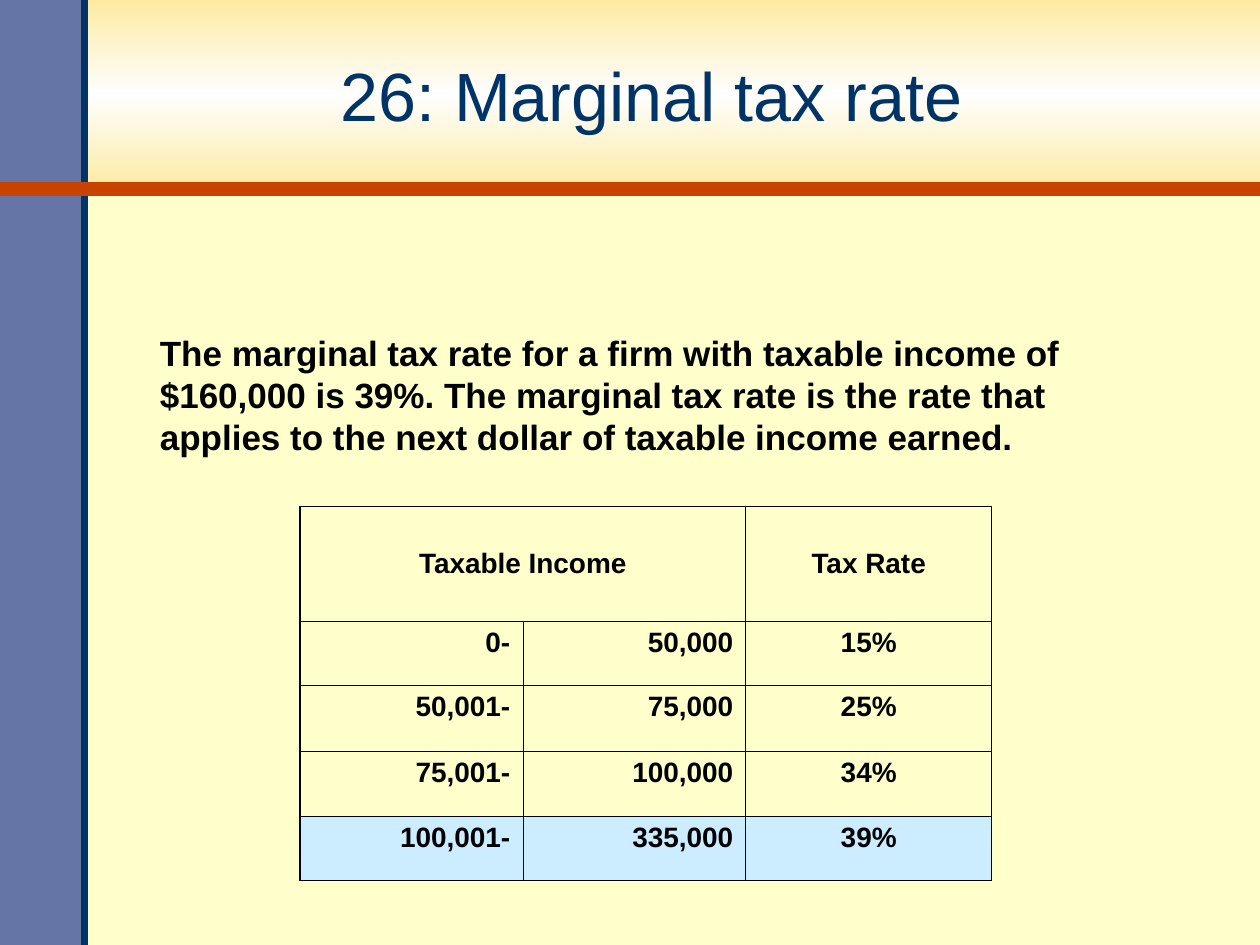
"""Build the marginal tax rate slide with its bracket table."""
from copy import deepcopy

from lxml.etree import SubElement
from pptx import Presentation
from pptx.dml.color import RGBColor
from pptx.enum.shapes import MSO_CONNECTOR, MSO_SHAPE
from pptx.enum.text import MSO_ANCHOR, PP_ALIGN
from pptx.oxml.ns import qn
from pptx.util import Inches, Pt

TITLE = "26: Marginal tax rate"
EXPLANATION = (
    "The marginal tax rate for a firm with taxable income of $160,000 is 39%. "
    "The marginal tax rate is the rate that applies to the next dollar of "
    "taxable income earned."
)
HEADINGS = ("Taxable Income", "", "Tax Rate")
BRACKETS = [
    ("0-", "50,000", "15%"),
    ("50,001-", "75,000", "25%"),
    ("75,001-", "100,000", "34%"),
    ("100,001-", "335,000", "39%"),
]
ALIGNMENTS = (PP_ALIGN.RIGHT, PP_ALIGN.RIGHT, PP_ALIGN.CENTER)
COLUMN_WIDTHS = (1.77, 1.77, 1.95)
ROW_HEIGHTS = (0.91, 0.51, 0.52, 0.52, 0.51)
OUTER_BORDER, INNER_BORDER = 1.08, 0.45

CREAM = RGBColor(0xFF, 0xFF, 0xCC)
GOLD = RGBColor(0xFD, 0xEB, 0xA1)
WHITE = RGBColor(0xFE, 0xFE, 0xFE)
SLATE = RGBColor(0x64, 0x75, 0xA6)
NAVY = RGBColor(0x00, 0x33, 0x66)
RUST = RGBColor(0xC8, 0x43, 0x00)
BLACK = RGBColor(0x00, 0x00, 0x00)
HIGHLIGHT = RGBColor(0xCC, 0xEC, 0xFF)


def write(frame, text, *, size, color=BLACK, bold=False, align=PP_ALIGN.LEFT):
    frame.word_wrap = True
    paragraph = frame.paragraphs[0]
    paragraph.alignment = align
    run = paragraph.add_run()
    run.text = text
    run.font.name = "Arial"
    run.font.size = Pt(size)
    run.font.bold = bold
    run.font.color.rgb = color


def place(shape, left, top, width, height):
    shape.left, shape.top = Inches(left), Inches(top)
    shape.width, shape.height = Inches(width), Inches(height)


def add_band(slide, width, height):
    band = slide.shapes.add_shape(
        MSO_SHAPE.RECTANGLE, 0, 0, Inches(width), Inches(height))
    band.shadow.inherit = False
    band.line.fill.background()
    return band


def add_rule(slide, start, end, color, width):
    rule = slide.shapes.add_connector(
        MSO_CONNECTOR.STRAIGHT, *map(Inches, start + end))
    rule.line.color.rgb = color
    rule.line.width = Pt(width)
    SubElement(rule._element.spPr, qn("a:effectLst"))


def fill_gold_gradient(band):
    band.fill.gradient()
    band.fill.gradient_angle = 90
    stop_list = band._element.spPr.find(qn("a:gradFill")).find(qn("a:gsLst"))
    stop_list.insert(1, deepcopy(stop_list[0]))
    stops = zip(band.fill.gradient_stops, (0, 0.5, 1), (GOLD, WHITE, GOLD))
    for stop, position, color in stops:
        stop.position = position
        stop.color.rgb = color


def set_borders(cell, widths):
    properties = cell._tc.get_or_add_tcPr()
    for side, width in zip("LRTB", widths):
        border = SubElement(properties, qn(f"a:ln{side}"), w=str(Pt(width)))
        fill = SubElement(border, qn("a:solidFill"))
        SubElement(fill, qn("a:srgbClr"), val=str(BLACK))


def add_tax_table(slide):
    rows = [HEADINGS] + BRACKETS
    last_row, last_column = len(rows) - 1, len(HEADINGS) - 1
    table = slide.shapes.add_table(
        len(rows), len(HEADINGS), Inches(2.38), Inches(4.02),
        Inches(sum(COLUMN_WIDTHS)), Inches(sum(ROW_HEIGHTS))).table
    table.first_row = table.horz_banding = False
    for column, width in zip(table.columns, COLUMN_WIDTHS):
        column.width = Inches(width)
    for row, height in zip(table.rows, ROW_HEIGHTS):
        row.height = Inches(height)
    table.cell(0, 0).merge(table.cell(0, 1))

    for r, values in enumerate(rows):
        for c, value in enumerate(values):
            cell = table.cell(r, c)
            edges = (c == 0, c == last_column, r == 0, r == last_row)
            set_borders(cell, [OUTER_BORDER if edge else INNER_BORDER
                               for edge in edges])
            if r == last_row:
                cell.fill.solid()
                cell.fill.fore_color.rgb = HIGHLIGHT
            else:
                cell.fill.background()
            cell.vertical_anchor = MSO_ANCHOR.TOP if r else MSO_ANCHOR.MIDDLE
            if value:
                write(cell.text_frame, value, size=16, bold=True,
                      align=ALIGNMENTS[c] if r else PP_ALIGN.CENTER)


def main():
    deck = Presentation()
    deck.slide_width, deck.slide_height = Inches(10), Inches(7.5)
    slide = deck.slides.add_slide(deck.slide_layouts[5])
    slide.background.fill.solid()
    slide.background.fill.fore_color.rgb = CREAM

    fill_gold_gradient(add_band(slide, 10, 1.5))
    sidebar = add_band(slide, 0.67, 7.5)
    sidebar.fill.solid()
    sidebar.fill.fore_color.rgb = SLATE
    add_rule(slide, (0.67, 7.5), (0.67, 0), NAVY, 4)
    add_rule(slide, (0, 1.5), (10, 1.5), RUST, 8)

    title = slide.shapes.title
    slide.shapes._spTree.append(title._element)
    place(title, 0.65, 0.15, 9.04, 1.2)
    title.text_frame.vertical_anchor = MSO_ANCHOR.MIDDLE
    write(title.text_frame, TITLE, size=39, color=NAVY, align=PP_ALIGN.CENTER)

    explanation = slide.shapes.add_textbox(0, 0, 0, 0)
    place(explanation, 1.17, 2.58, 8.25, 1.1)
    write(explanation.text_frame, EXPLANATION, size=20, bold=True)

    add_tax_table(slide)
    deck.save("out.pptx")


if __name__ == "__main__":
    main()
